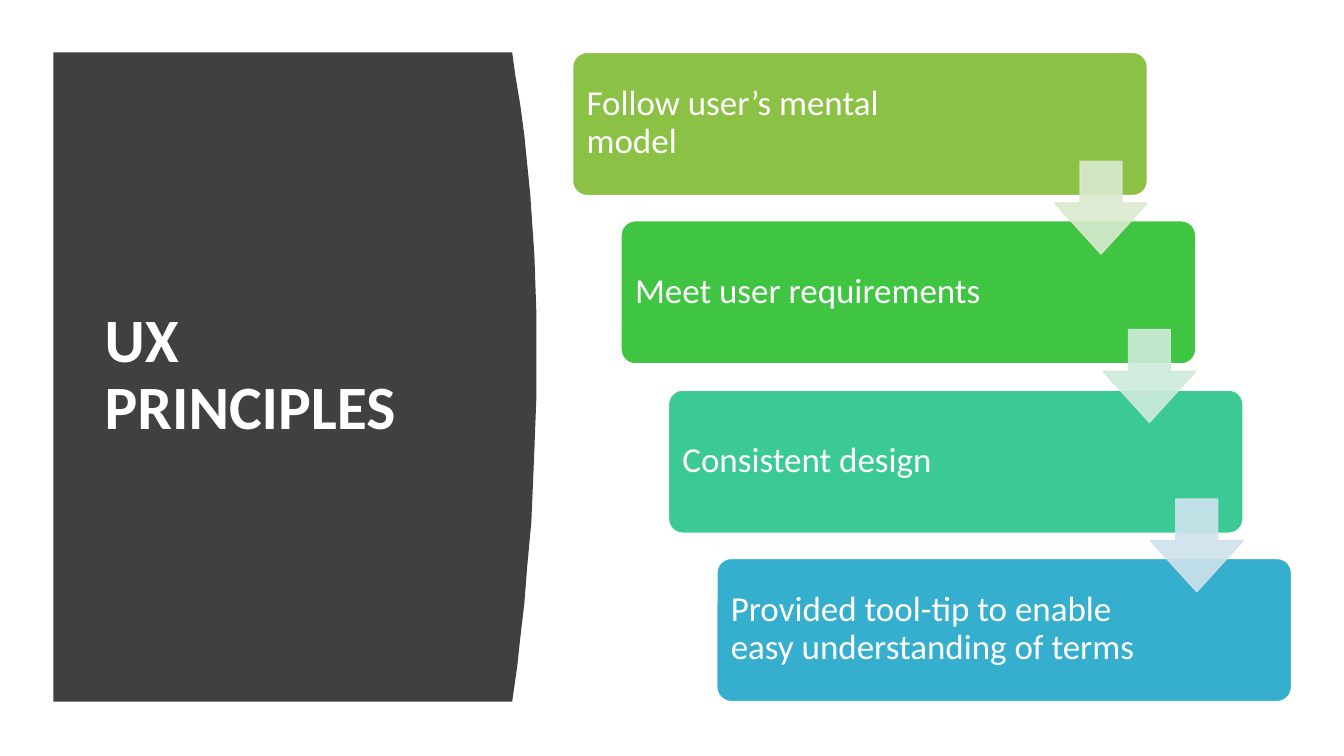
from pptx import Presentation
from pptx import util as u
from pptx.dml.color import RGBColor
from pptx.enum import shapes, text
from pptx.oxml import parse_xml
from pptx.oxml.ns import nsdecls

HUES = {
    "panel": "404040", "white": "FFFFFF",
    "lime": "8BC145", "green": "40C543", "mint": "3BCA93", "blue": "36AFCE",
    "pale lime": "DAE9CF", "pale green": "CEEBDB", "pale blue": "CEE3ED",
}
CURVE = [
    (508, 52), (511, 74), (516, 104), (520, 134), (523, 164), (526, 194),
    (528, 224), (530, 253), (531, 282), (532, 311), (532, 339), (532, 367),
    (532, 394), (531, 420), (530, 446), (529, 471), (527, 518), (523, 561),
    (520, 599), (516, 633), (513, 661), (510, 682), (508, 696),
]
STEPS = [
    ("Follow user’s mental model", "lime", 405),
    ("Meet user requirements", "green", 422),
    ("Consistent design", "mint", 422),
    ("Provided tool-tip to enable easy understanding of terms", "blue", 422),
]
ARROWS = ["pale lime", "pale green", "pale blue"]
LEFT, TOP = 568, 52
SHIFT, DROP = 47.7, 167.3


class Deck:
    px = 9144
    font = "Calibri"

    def __init__(self, wide, high):
        self.file = Presentation()
        self.file.slide_width = u.Emu(wide * self.px)
        self.file.slide_height = u.Emu(high * self.px)
        self.slide = self.file.slides.add_slide(self.file.slide_layouts[6])

    def scale(self, *nums):
        return [u.Emu(n * self.px) for n in nums]

    def paint(self, item, hue, edge=None, alpha=None):
        item.shadow.inherit = False
        item.fill.solid()
        item.fill.fore_color.rgb = RGBColor.from_string(HUES[hue])
        if edge:
            item.line.color.rgb = RGBColor.from_string(HUES[edge])
            item.line.width = u.Pt(1)
        else:
            item.line.fill.background()
        if alpha:
            for clr in item._element.spPr.xpath(".//a:srgbClr"):
                clr.append(parse_xml(f'<a:alpha {nsdecls("a")} val="{alpha * 1000}"/>'))

    def outline(self, points, hue):
        pen = self.slide.shapes.build_freeform(*points[0], scale=self.px)
        pen.add_line_segments(points[1:], close=True)
        self.paint(pen.convert_to_shape(), hue)

    def shape(self, kind, box, adjust, hue, edge, alpha=None):
        item = self.slide.shapes.add_shape(kind, *self.scale(*box))
        for i, val in enumerate(adjust):
            item.adjustments[i] = val
        self.paint(item, hue, edge, alpha)

    def label(self, words, box, size, bold=False, after=0):
        frame = self.slide.shapes.add_textbox(*self.scale(*box)).text_frame
        frame.word_wrap = True
        frame.vertical_anchor = text.MSO_ANCHOR.MIDDLE
        frame.margin_left, frame.margin_right = self.scale(10, 10)
        frame.text = words
        para = frame.paragraphs[0]
        para.line_spacing = 0.9
        para.space_after = u.Pt(after)
        font = para.runs[0].font
        font.name, font.size, font.bold = self.font, u.Pt(size), bold
        font.color.rgb = RGBColor.from_string(HUES["white"])


def main():
    deck = Deck(1333, 750)
    deck.outline([(53, 52)] + CURVE + [(53, 696)], "panel")
    deck.label("UX PRINCIPLES", (94, 111, 374, 524), 44, bold=True)

    spots = [(round(i * SHIFT), round(i * DROP)) for i in range(len(STEPS))]
    for (words, hue, wide), (dx, dy) in zip(STEPS, spots):
        x, y = LEFT + dx, TOP + dy
        deck.shape(shapes.MSO_SHAPE.ROUNDED_RECTANGLE, (x, y, 570, 142), [0.1], hue, "white")
        deck.label(words, (x + 4, y + 4, wide, 133), 25, after=9)
    for hue, (dx, dy) in zip(ARROWS, spots):
        box = (LEFT + 478 + dx, TOP + 108 + dy, 92, 92)
        deck.shape(shapes.MSO_SHAPE.DOWN_ARROW, box, [0.45, 0.55], hue, hue, 90)

    deck.file.save("out.pptx")


if __name__ == "__main__":
    main()
